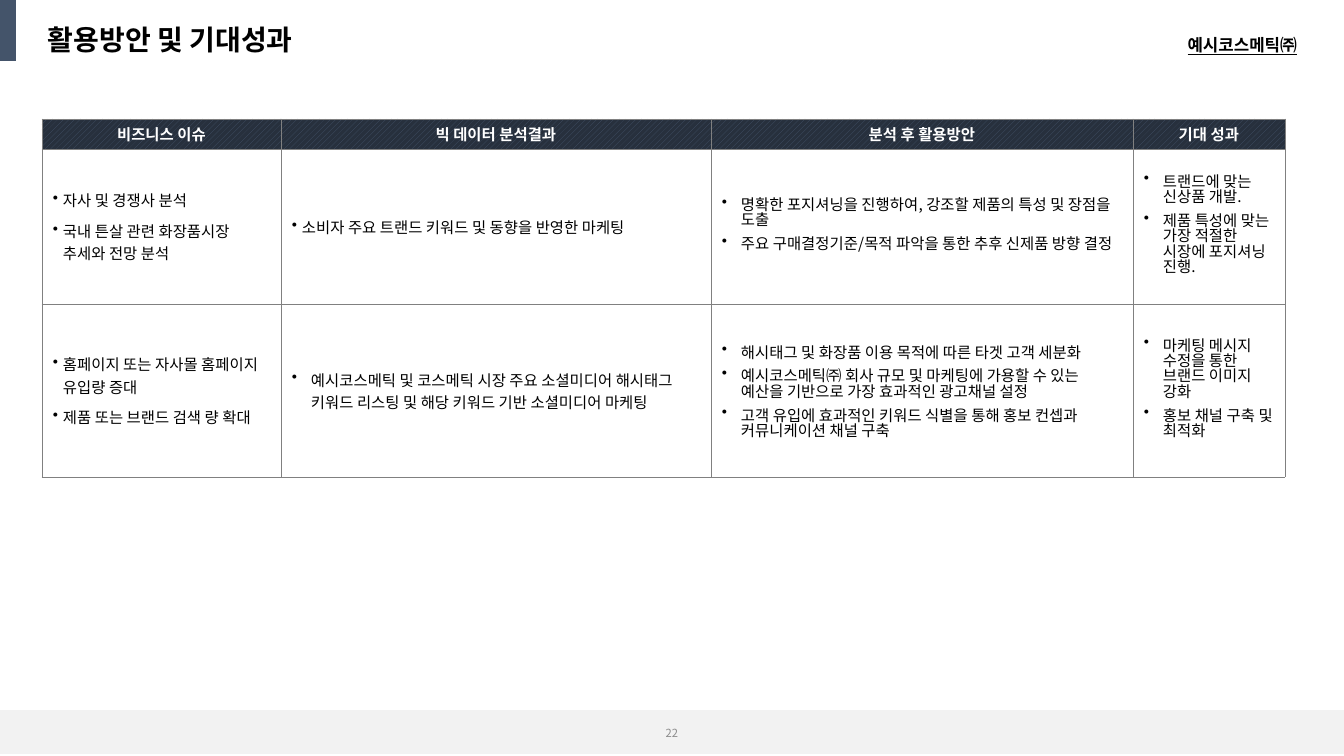
from dataclasses import dataclass

from lxml.etree import SubElement
from pptx import Presentation
from pptx.dml.color import RGBColor
from pptx.enum.dml import MSO_PATTERN
from pptx.enum.shapes import MSO_SHAPE
from pptx.enum.text import MSO_ANCHOR, PP_ALIGN
from pptx.oxml.ns import qn
from pptx.util import Emu, Pt


@dataclass(frozen=True)
class Theme:
    """Colours, font and type sizes of the slide."""
    font: str = "Noto Sans CJK KR"
    black: str = "000000"
    white: str = "FFFFFF"
    slate: str = "44546A"
    navy: str = "27303D"
    band: str = "F2F2F2"
    rule: str = "808080"
    muted: str = "8C8C8C"
    title: int = 20
    label: int = 12
    body: int = 11
    small: int = 8
    gap: int = 6


THEME = Theme()
NARROW, WIDE = 10, 19
COLS = [239, 430, 422, 152]
ROWS = [30, 155, 173]
HEADS = ["비즈니스 이슈", "빅 데이터 분석결과", "분석 후 활용방안", "기대 성과"]
BODY = [
    [
        (NARROW, ["자사 및 경쟁사 분석",
                  "국내 튼살 관련 화장품시장 추세와 전망 분석"], []),
        (NARROW, ["소비자 주요 트랜드 키워드 및 동향을 반영한 마케팅"], []),
        (WIDE, [], ["명확한 포지셔닝을 진행하여, 강조할 제품의 특성 및 장점을 도출",
                    "주요 구매결정기준/목적 파악을 통한 추후 신제품 방향 결정"]),
        (WIDE, [], ["트랜드에 맞는 신상품 개발.",
                    "제품 특성에 맞는 가장 적절한 시장에 포지셔닝 진행."]),
    ],
    [
        (NARROW, ["홈페이지 또는 자사몰 홈페이지 유입량 증대",
                  "제품 또는 브랜드 검색 량 확대"], []),
        (WIDE, ["예시코스메틱 및 코스메틱 시장 주요 소셜미디어 해시태그 "
                "키워드 리스팅 및 해당 키워드 기반 소셜미디어 마케팅"], []),
        (WIDE, ["해시태그 및 화장품 이용 목적에 따른 타겟 고객 세분화"],
         ["예시코스메틱㈜ 회사 규모 및 마케팅에 가용할 수 있는 "
          "예산을 기반으로 가장 효과적인 광고채널 설정",
          "고객 유입에 효과적인 키워드 식별을 통해 홍보 컨셉과 커뮤니케이션 채널 구축"]),
        (WIDE, [], ["마케팅 메시지 수정을 통한 브랜드 이미지 강화",
                    "홍보 채널 구축 및 최적화"]),
    ],
]


def px(count):
    """Turn pixels into EMU."""
    return Emu(round(count * 914400 / 100.8))


def rgb(code):
    """Turn a hex code into a colour."""
    return RGBColor.from_string(code)


def write(para, text, size=THEME.body, color=THEME.black, bold=False,
          line=False, align=PP_ALIGN.LEFT):
    """Write one formatted run into a paragraph."""
    para.alignment = align
    run = para.add_run()
    run.text = text
    font = run.font
    font.size, font.bold, font.underline = Pt(size), bold, line
    font.color.rgb = rgb(color)
    font.name = THEME.font
    SubElement(run._r.get_or_add_rPr(), qn("a:ea"), typeface=THEME.font)


def add_bar(slide, left, top, width, height, color):
    """Add a plain filled rectangle."""
    bar = slide.shapes.add_shape(
        MSO_SHAPE.RECTANGLE, px(left), px(top), px(width), px(height))
    bar.shadow.inherit = False
    bar.fill.solid()
    bar.fill.fore_color.rgb = rgb(color)
    bar.line.fill.background()


def add_text(slide, left, top, width, height, text, wrap=True, **form):
    """Add a text box of one line, centred in its height."""
    box = slide.shapes.add_textbox(px(left), px(top), px(width), px(height))
    frame = box.text_frame
    frame.word_wrap = wrap
    frame.vertical_anchor = MSO_ANCHOR.MIDDLE
    write(frame.paragraphs[0], text, **form)


def set_bullet(para, indent):
    """Give a paragraph a bullet with a hanging indent."""
    props = para._p.get_or_add_pPr()
    props.set("marL", str(px(indent)))
    props.set("indent", str(-px(indent)))
    SubElement(props, qn("a:buChar"), char="•")


def fill_list(frame, indent, loose, tight):
    """Write bullets, loose lines first and then tight ones."""
    for order, text in enumerate(loose + tight):
        para = frame.add_paragraph() if order else frame.paragraphs[0]
        set_bullet(para, indent)
        if order:
            para.space_before = Pt(THEME.gap)
        if order >= len(loose):
            para.line_spacing = Pt(THEME.body)
        write(para, text)


def set_cell(cell):
    """Set the margins, anchor and borders of a cell."""
    cell.margin_left = cell.margin_right = px(11)
    cell.margin_top = cell.margin_bottom = px(4)
    cell.vertical_anchor = MSO_ANCHOR.MIDDLE
    props = cell._tc.get_or_add_tcPr()
    for side in ("lnL", "lnR", "lnT", "lnB"):
        edge = SubElement(props, qn(f"a:{side}"), w=str(Pt(0.5)))
        fill = SubElement(edge, qn("a:solidFill"))
        SubElement(fill, qn("a:srgbClr"), val=THEME.rule)


def add_grid(slide, left, top):
    """Add the table of issues, results, plans and gains."""
    grid = slide.shapes.add_table(
        len(ROWS), len(COLS), px(left), px(top),
        px(sum(COLS)), px(sum(ROWS))).table
    grid.first_row = grid.horz_banding = False
    for col, width in zip(grid.columns, COLS):
        col.width = px(width)
    for row, height in zip(grid.rows, ROWS):
        row.height = px(height)
    for cell in grid.iter_cells():
        set_cell(cell)
    for cell, head in zip(grid.rows[0].cells, HEADS):
        cell.fill.patterned()
        cell.fill.pattern = MSO_PATTERN.WIDE_UPWARD_DIAGONAL
        cell.fill.fore_color.rgb = rgb(THEME.slate)
        cell.fill.back_color.rgb = rgb(THEME.navy)
        write(cell.text_frame.paragraphs[0], head, color=THEME.white,
              bold=True, align=PP_ALIGN.CENTER)
    for number, items in enumerate(BODY, 1):
        for cell, item in zip(grid.rows[number].cells, items):
            cell.fill.background()
            fill_list(cell.text_frame, *item)


def main():
    """Build the slide and save it."""
    deck = Presentation()
    deck.slide_width, deck.slide_height = px(1344), px(756)
    slide = deck.slides.add_slide(deck.slide_layouts[6])
    add_bar(slide, 0, 0, 16, 61, THEME.slate)
    add_bar(slide, 0, 710, 1344, 44, THEME.band)
    add_text(slide, 521, 711, 302, 44, "22", size=THEME.small,
             color=THEME.muted, align=PP_ALIGN.CENTER)
    add_text(slide, 38, 17, 331, 44, "활용방안 및 기대성과",
             size=THEME.title, bold=True)
    add_text(slide, 1168, 30, 139, 30, "예시코스메틱㈜", wrap=False,
             size=THEME.label, bold=True, line=True, align=PP_ALIGN.RIGHT)
    add_grid(slide, 42, 119)
    deck.save("out.pptx")


if __name__ == "__main__":
    main()
